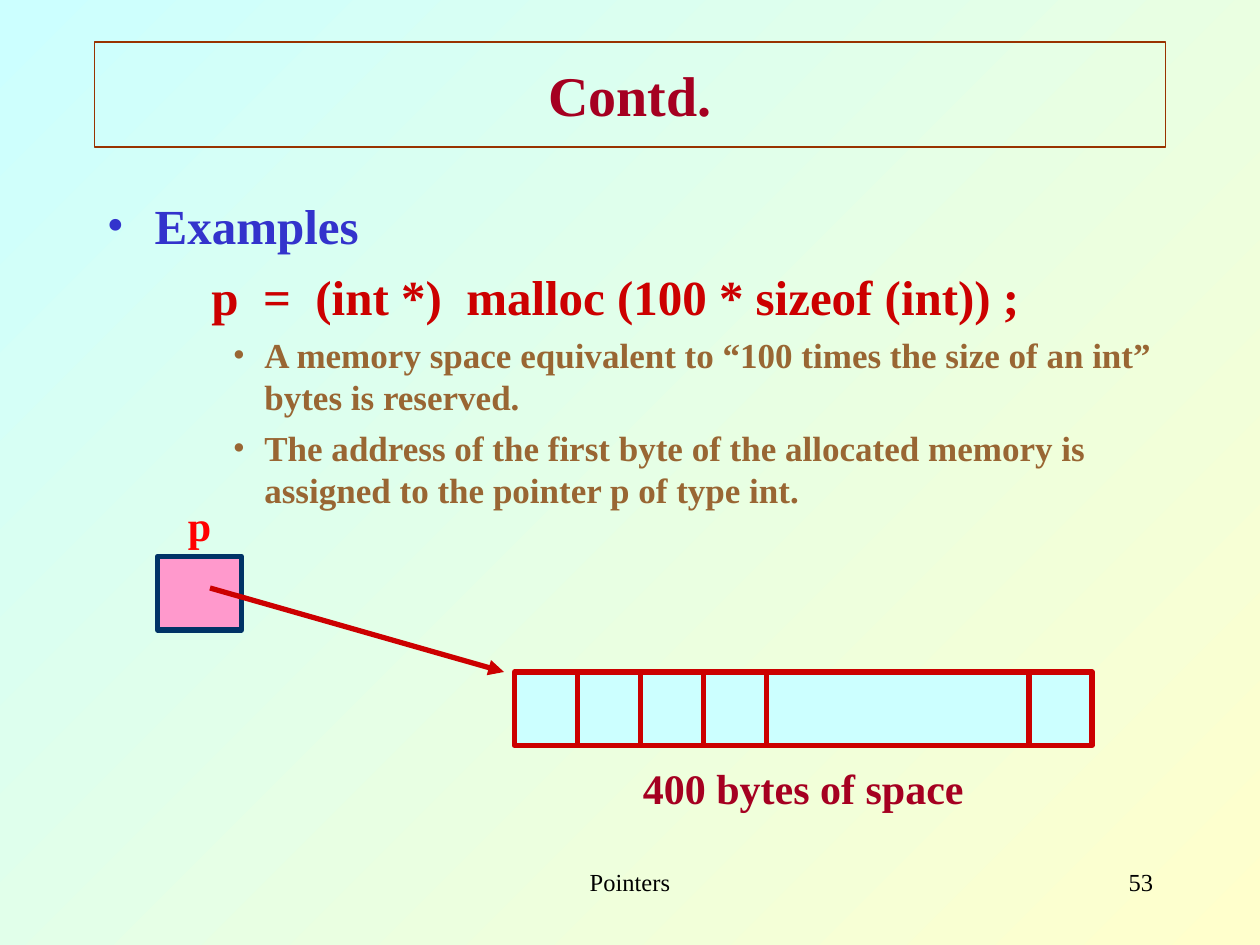
"""Build a slide that shows how malloc reserves space and sets a pointer."""
from dataclasses import dataclass

from lxml.etree import SubElement
from pptx import Presentation
from pptx.dml.color import RGBColor
from pptx.enum.shapes import MSO_CONNECTOR, MSO_SHAPE
from pptx.enum.text import MSO_ANCHOR, PP_ALIGN
from pptx.oxml.ns import qn
from pptx.util import Inches, Pt


@dataclass(frozen=True)
class Theme:
    font: str = "Times New Roman"
    sky: str = "CCFFFF"
    cream: str = "FFFFCC"
    brown: str = "993300"
    maroon: str = "A50021"
    blue: str = "3333CC"
    red: str = "CC0000"
    bright_red: str = "FF0000"
    tan: str = "996633"
    pink: str = "FF99CC"
    navy: str = "003366"
    black: str = "000000"
    title_size: int = 32
    heading_size: int = 28
    label_size: int = 24
    detail_size: int = 20
    footer_size: int = 14
    thin: float = 0.75
    thick: int = 3


def write(paragraph, text, *, size, color, bold=True, align=PP_ALIGN.LEFT,
          before=0, margin=0, indent=0, bullet=None):
    paragraph.alignment = align
    paragraph.space_before = Pt(before)
    run = paragraph.add_run()
    run.text = text
    run.font.name = theme.font
    run.font.size = Pt(size)
    run.font.bold = bold
    run.font.color.rgb = RGBColor.from_string(color)
    properties = paragraph._p.get_or_add_pPr()
    properties.set("marL", str(Inches(margin)))
    properties.set("indent", str(Inches(indent)))
    if bullet:
        bullet_color = SubElement(properties, qn("a:buClr"))
        SubElement(bullet_color, qn("a:srgbClr"), val=color)
        SubElement(properties, qn("a:buFont"), typeface=theme.font)
        SubElement(properties, qn("a:buChar"), char=bullet)


def draw_line(shapes, start, end, arrow=False):
    connector = shapes.add_connector(
        MSO_CONNECTOR.STRAIGHT, *(unit * value for value in start + end))
    connector.line.color.rgb = RGBColor.from_string(theme.red)
    connector.line.width = Pt(theme.thick)
    if arrow:
        SubElement(connector.line._get_or_add_ln(), qn("a:tailEnd"), type="triangle")
    SubElement(connector._element.spPr, qn("a:effectLst"))


theme = Theme()
presentation = Presentation()
presentation.slide_width = Inches(10)
presentation.slide_height = Inches(7.5)
unit = presentation.slide_width // 120

slide = presentation.slides.add_slide(presentation.slide_layouts[5])
background = slide.background.fill
background.gradient()
background.gradient_angle = 315
for stop, color in zip(background.gradient_stops, (theme.sky, theme.cream)):
    stop.color.rgb = RGBColor.from_string(color)

title = slide.shapes.title
title.left, title.top, title.width, title.height = (
    unit * value for value in (9, 4, 102, 10))
title.line.color.rgb = RGBColor.from_string(theme.brown)
title.line.width = Pt(theme.thin)
title.text_frame.vertical_anchor = MSO_ANCHOR.MIDDLE
write(title.text_frame.paragraphs[0], "Contd.", size=theme.title_size,
      color=theme.maroon, align=PP_ALIGN.CENTER)

heading = dict(size=theme.heading_size, before=7)
detail = dict(size=theme.detail_size, color=theme.tan, before=5,
              margin=1.25, indent=-0.25, bullet="•")
label = dict(size=theme.label_size, align=PP_ALIGN.CENTER)
footer = dict(size=theme.footer_size, color=theme.black, bold=False)
text_boxes = [
    ((9, 18, 102, 62), [
        ("Examples", dict(heading, color=theme.blue, margin=0.38,
                          indent=-0.38, bullet="•")),
        ("p  =  (int *)  malloc (100 * sizeof (int)) ;",
         dict(heading, color=theme.red, margin=0.83)),
        ("A memory space equivalent to “100 times the size of an int” "
         "bytes is reserved.", detail),
        ("The address of the first byte of the allocated memory is "
         "assigned to the pointer p of type int.", detail),
    ]),
    ((15, 47, 8, 6), [("p", dict(label, color=theme.bright_red))]),
    ((52, 72, 49, 6), [("400 bytes of space", dict(label, color=theme.maroon))]),
    ((41, 82, 38, 6), [("Pointers", dict(footer, align=PP_ALIGN.CENTER))]),
    ((86, 82, 25, 6), [("53", dict(footer, align=PP_ALIGN.RIGHT))]),
]
for place, lines in text_boxes:
    frame = slide.shapes.add_textbox(*(unit * value for value in place)).text_frame
    frame.word_wrap = True
    for index, (text, text_format) in enumerate(lines):
        paragraph = frame.add_paragraph() if index else frame.paragraphs[0]
        write(paragraph, text, **text_format)

memory = slide.shapes.add_group_shape().shapes
pointer = slide.shapes.add_group_shape().shapes
for shapes, place, fill, outline in (
    (memory, (49, 64, 55, 7), theme.sky, theme.red),
    (pointer, (15, 53, 8, 7), theme.pink, theme.navy),
):
    box = shapes.add_shape(MSO_SHAPE.RECTANGLE, *(unit * value for value in place))
    box.shadow.inherit = False
    box.fill.solid()
    box.fill.fore_color.rgb = RGBColor.from_string(fill)
    box.line.color.rgb = RGBColor.from_string(outline)
    box.line.width = Pt(theme.thick)

for column in (55, 61, 67, 73, 98):
    draw_line(memory, (column, 64), (column, 71))
draw_line(pointer, (20, 56), (48, 64), arrow=True)

presentation.save("out.pptx")
